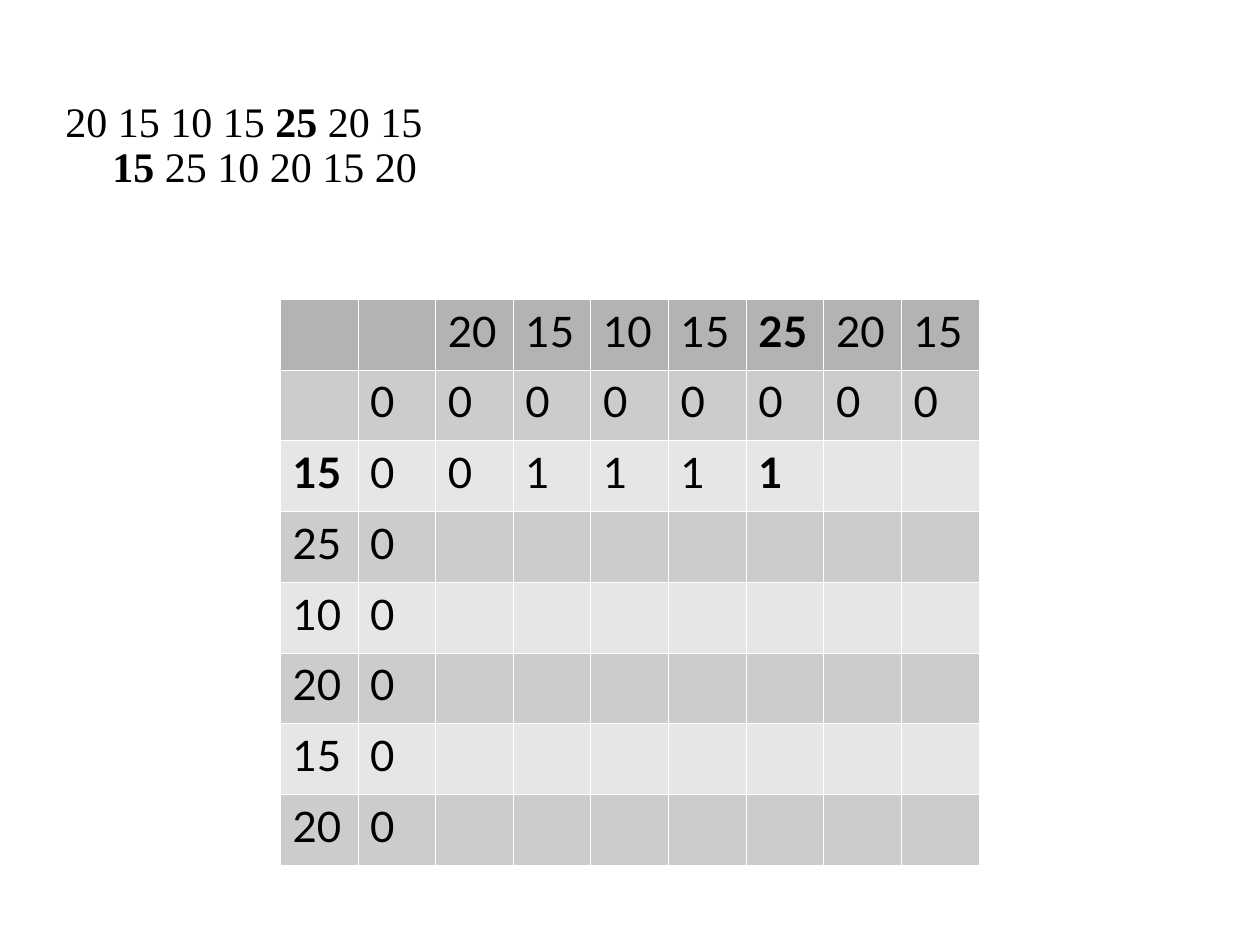
from dataclasses import dataclass
from lxml.etree import SubElement
from pptx import Presentation
from pptx.dml.color import RGBColor
from pptx.oxml.ns import qn
from pptx.util import Pt


@dataclass(frozen=True)
class Theme:
    ink: RGBColor = RGBColor(0, 0, 0)
    border: str = "FFFFFF"
    header: RGBColor = RGBColor(0xB3, 0xB3, 0xB3)
    bands: tuple = (RGBColor(0xE6, 0xE6, 0xE6), RGBColor(0xCC, 0xCC, 0xCC))
    size: Pt = Pt(24)
    sequence_font: str = "Times New Roman"
    table_font: str = "Lato"


theme = Theme()


def px(length):
    return round(length * 914400 / 126)


def style_paragraph(paragraph, font_name, line_spacing):
    paragraph.line_spacing = line_spacing
    paragraph.font.name = font_name
    paragraph.font.size = theme.size
    paragraph.font.color.rgb = theme.ink


presentation = Presentation()
presentation.slide_width = px(1260)
presentation.slide_height = px(945)
slide = presentation.slides.add_slide(presentation.slide_layouts[6])

sequence_box = slide.shapes.add_textbox(px(53), px(95), px(1113), px(775))
sequence_box.text_frame.word_wrap = True
paragraph = sequence_box.text_frame.paragraphs[0]
paragraph_properties = paragraph._p.get_or_add_pPr()
paragraph_properties.set("marL", str(px(47)))
paragraph_properties.set("indent", str(-px(47)))
style_paragraph(paragraph, theme.sequence_font, 0.9)

sequence_lines = [
    [("20 15 10 15 ", False), ("25", True), (" 20 15", False)],
    [("15", True), (" 25 10 20 15 20", False)],
]
for line_index, line in enumerate(sequence_lines):
    if line_index:
        paragraph.add_line_break()
    for text, bold in line:
        run = paragraph.add_run()
        run.text = text
        run.font.bold = bold

column_values = ["20", "15", "10", "15", "25", "20", "15"]
row_values = ["15", "25", "10", "20", "15", "20"]
first_results = ["0", "1", "1", "1", "1"]
grid = [["", "", *column_values], ["", *["0"] * 8]]
grid += [[value, "0"] for value in row_values]
grid[2] += first_results
bold_cells = {(0, 6), (2, 0), (2, 6)}

row_count, column_count = len(grid), len(grid[0])
table = slide.shapes.add_table(
    row_count, column_count, px(280), px(299), px(699), px(566)
).table
for column in table.columns:
    column.width = px(699) // column_count
for row in table.rows:
    row.height = px(566) // row_count

for row_index, values in enumerate(grid):
    for column_index in range(column_count):
        cell = table.cell(row_index, column_index)
        cell_properties = cell._tc.get_or_add_tcPr()
        for side in ("a:lnL", "a:lnR", "a:lnT", "a:lnB"):
            line = SubElement(cell_properties, qn(side), w="720")
            fill = SubElement(line, qn("a:solidFill"))
            SubElement(fill, qn("a:srgbClr"), val=theme.border)
        cell.fill.solid()
        cell.fill.fore_color.rgb = theme.bands[row_index % 2] if row_index else theme.header
        if column_index < len(values):
            cell.text = values[column_index]
        paragraph = cell.text_frame.paragraphs[0]
        style_paragraph(paragraph, theme.table_font, 1.01)
        paragraph.font.bold = (row_index, column_index) in bold_cells

presentation.save("out.pptx")
